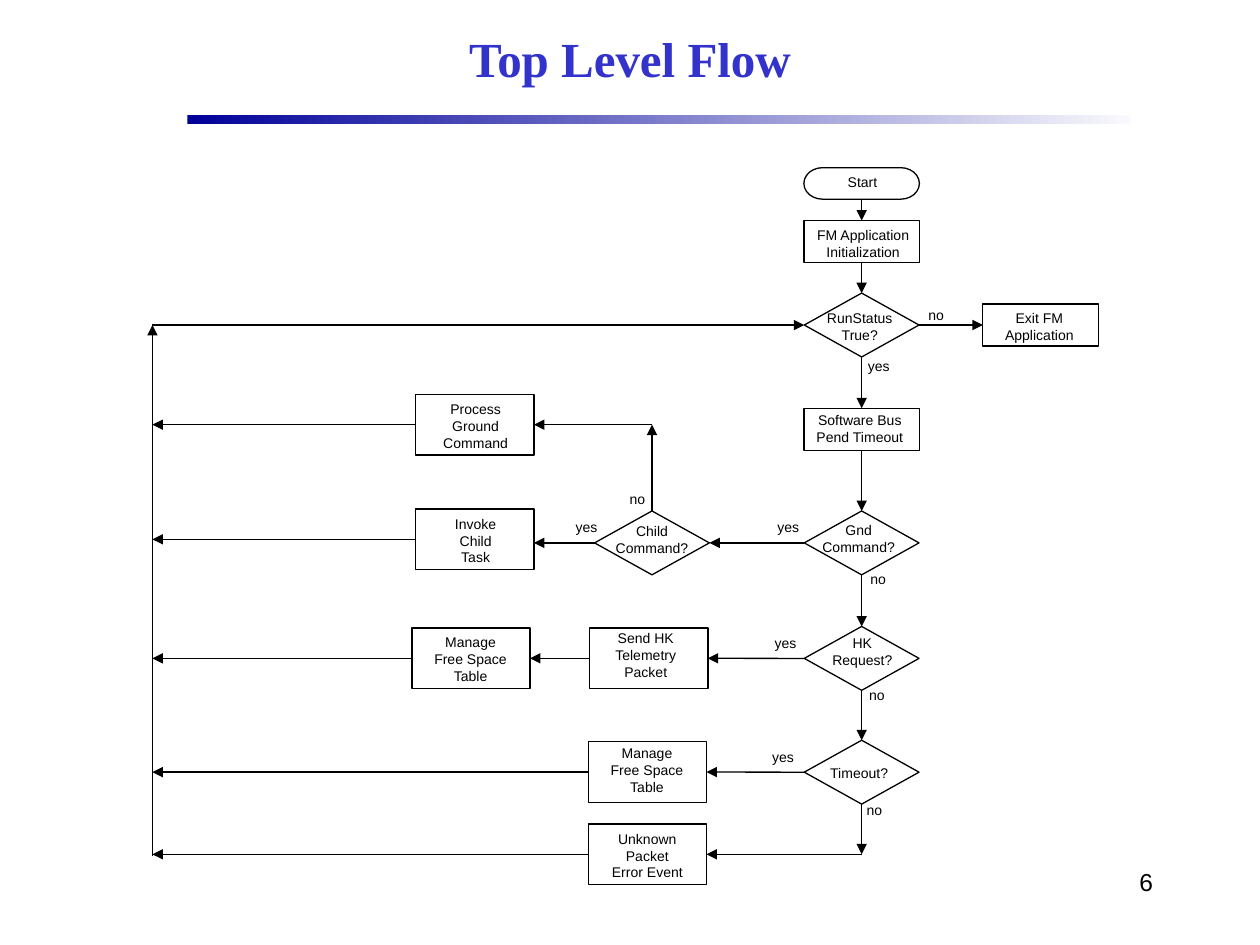
from lxml import etree
from pptx import Presentation
from pptx.dml.color import RGBColor
from pptx.enum import shapes, text
from pptx.oxml.ns import qn
from pptx.util import Pt

INK = "000000"
RAIL, TOP, LOW = 87.1, 185.75, 488.9
TURN = (372.6, 242.7)
DROP = (492.4, 488.2)
TASK = (305.1, 310.25)
UP, LEFT, DOWN, RIGHT = range(4)

GEOM = shapes.MSO_SHAPE
KINDS = {
    "end": (GEOM.FLOWCHART_TERMINATOR, 66, 18),
    "step": (GEOM.FLOWCHART_PROCESS, 66, 24),
    "card": (GEOM.FLOWCHART_PROCESS, 67.5, 34.6),
    "test": (GEOM.FLOWCHART_DECISION, 65.6, 36.5),
}

# name: kind, left, top, words, label shift across and down, label width
NODES = {
    "start": ("end", 459.4, 95.8, "Start", 0.5, 0, 36),
    "init": ("step", 459.4, 126, "FM Application\nInitialization", 0.9, 0, 72),
    "run": ("test", 459.6, 167.5, "RunStatus\nTrue?", -1.1, 6, 57),
    "exit": ("step", 561.6, 173.75, "Exit FM\nApplication", -0.6, -0.2, 58),
    "bus": ("step", 459.4, 233.3, "Software Bus\nPend Timeout", -1, -1.5, 69),
    "ground": ("test", 459.6, 292, "Gnd\nCommand?", -1.7, 2.5, 60),
    "child": ("test", 339.8, 292, "Child\nCommand?", 0, 3.2, 60),
    "keep": ("test", 459.6, 358, "HK\nRequest?", 0.4, 1.3, 54),
    "time": ("test", 459.6, 423, "Timeout?", -1.4, 10.4, 53),
    "process": ("card", 237.6, 225.4, "Process\nGround\nCommand", 0.5, 0, 67),
    "invoke": ("card", 237.6, 290.9, "Invoke\nChild\nTask", 0.5, 0, 67),
    "space": ("card", 235.4, 358.9, "Manage\nFree Space\nTable", -0.2, -0.3, 61),
    "send": ("card", 337, 358.9, "Send HK\nTelemetry\nPacket", -1.7, -2.5, 55),
    "table": ("card", 336.2, 423.9, "Manage\nFree Space\nTable", -0.2, -2, 61),
    "error": ("card", 336.2, 470.9, "Unknown\nPacket\nError Event", 0, 0, 61),
}

SPINE = ["start", "init", "run", "bus", "ground", "keep", "time"]
LINKS = [
    ("run", RIGHT, "exit", LEFT),
    ("ground", LEFT, "child", RIGHT),
    ("keep", LEFT, "send", RIGHT),
    ("send", LEFT, "space", RIGHT),
    ("time", LEFT, "table", RIGHT),
]
BACK = ["process", "invoke", "space", "table", "error"]

SIGNS = {
    "yes": [(450.4, 293), (448.9, 359.3), (447.5, 424.1), (502.2, 200.9), (335.2, 293)],
    "no": [(501.8, 322.6), (501.1, 388.8), (499.7, 454.3), (535, 171.4), (364.3, 276.5)],
}


def color(code):
    return RGBColor.from_string(code)


def style(frame, size, face, code, align, bold=False):
    for para in frame.paragraphs:
        para.alignment = align
        for run in para.runs:
            run.font.size = Pt(size)
            run.font.name = face
            run.font.bold = bold
            run.font.color.rgb = color(code)


def label(slide, words, mid, top, wide):
    high = 7.2 + 9.5 * len(words.split("\n"))
    box = slide.shapes.add_textbox(Pt(mid - wide / 2), Pt(top), Pt(wide), Pt(high))
    frame = box.text_frame
    frame.text = words
    frame.word_wrap = False
    frame.auto_size = text.MSO_AUTO_SIZE.SHAPE_TO_FIT_TEXT
    style(frame, 8, "Arial", INK, text.PP_ALIGN.CENTER)


def node(slide, kind, left, top):
    geom, wide, high = KINDS[kind]
    shape = slide.shapes.add_shape(geom, Pt(left), Pt(top), Pt(wide), Pt(high))
    shape.shadow.inherit = False
    shape.fill.background()
    shape.line.color.rgb = color(INK)
    shape.line.width = Pt(0.75)
    return shape


def arrow(slide, start, stop):
    spots = [(0, 0) if hasattr(end[0], "text_frame") else end for end in (start, stop)]
    line = slide.shapes.add_connector(
        shapes.MSO_CONNECTOR.STRAIGHT, *[Pt(n) for spot in spots for n in spot])
    for end, spot, join in zip((start, stop), spots, (line.begin_connect, line.end_connect)):
        if end is not spot:
            join(*end)
    line.line.color.rgb = color(INK)
    line.line.width = Pt(0.75)
    props = line._element.spPr
    etree.SubElement(props.find(qn("a:ln")), qn("a:tailEnd"), type="triangle")
    etree.SubElement(props, qn("a:effectLst"))


def header(slide):
    title = slide.shapes.title
    title.left, title.top, title.width, title.height = Pt(102), Pt(6), Pt(516), Pt(54)
    frame = title.text_frame
    frame.text = "Top Level Flow"
    frame.auto_size = text.MSO_AUTO_SIZE.NONE
    frame.vertical_anchor = text.MSO_ANCHOR.MIDDLE
    style(frame, 28, "Times New Roman", "3333CC", text.PP_ALIGN.CENTER, True)

    bar = slide.shapes.add_shape(GEOM.RECTANGLE, Pt(107), Pt(66), Pt(539), Pt(5))
    bar.shadow.inherit = False
    bar.line.fill.background()
    bar.fill.gradient()
    bar.fill.gradient_angle = 0
    for stop, code in zip(bar.fill.gradient_stops, ("000099", "F9F9FD")):
        stop.color.rgb = color(code)


def number(slide):
    box = slide.shapes.add_textbox(Pt(516), Pt(492), Pt(150), Pt(36))
    box.text_frame.word_wrap = True
    box.text_frame.text = "6"
    style(box.text_frame, 14, "Arial", INK, text.PP_ALIGN.RIGHT)


def flow(slide):
    made = {}
    for name, (kind, left, top, words, across, down, wide) in NODES.items():
        made[name] = node(slide, kind, left, top)
        label(slide, words, left + KINDS[kind][1] / 2 + across, top + down, wide)

    for one, two in zip(SPINE, SPINE[1:]):
        arrow(slide, (made[one], DOWN), (made[two], UP))
    for one, out, two, into in LINKS:
        arrow(slide, (made[one], out), (made[two], into))
    for name in BACK:
        shape = made[name]
        level = (shape.top + shape.height / 2) / Pt(1)
        arrow(slide, (shape, LEFT), (RAIL, level))

    arrow(slide, (made["child"], LEFT), TASK)
    arrow(slide, (made["child"], UP), TURN)
    arrow(slide, TURN, (made["process"], RIGHT))
    arrow(slide, (made["time"], DOWN), DROP)
    arrow(slide, DROP, (made["error"], RIGHT))
    arrow(slide, (RAIL, LOW), (RAIL, TOP))
    arrow(slide, (RAIL, TOP), (made["run"], LEFT))

    for words, spots in SIGNS.items():
        for mid, top in spots:
            label(slide, words, mid, top, 32)


def main():
    deck = Presentation()
    deck.slide_width, deck.slide_height = Pt(720), Pt(540)
    slide = deck.slides.add_slide(deck.slide_layouts[5])
    header(slide)
    flow(slide)
    number(slide)
    deck.save("out.pptx")


if __name__ == "__main__":
    main()
